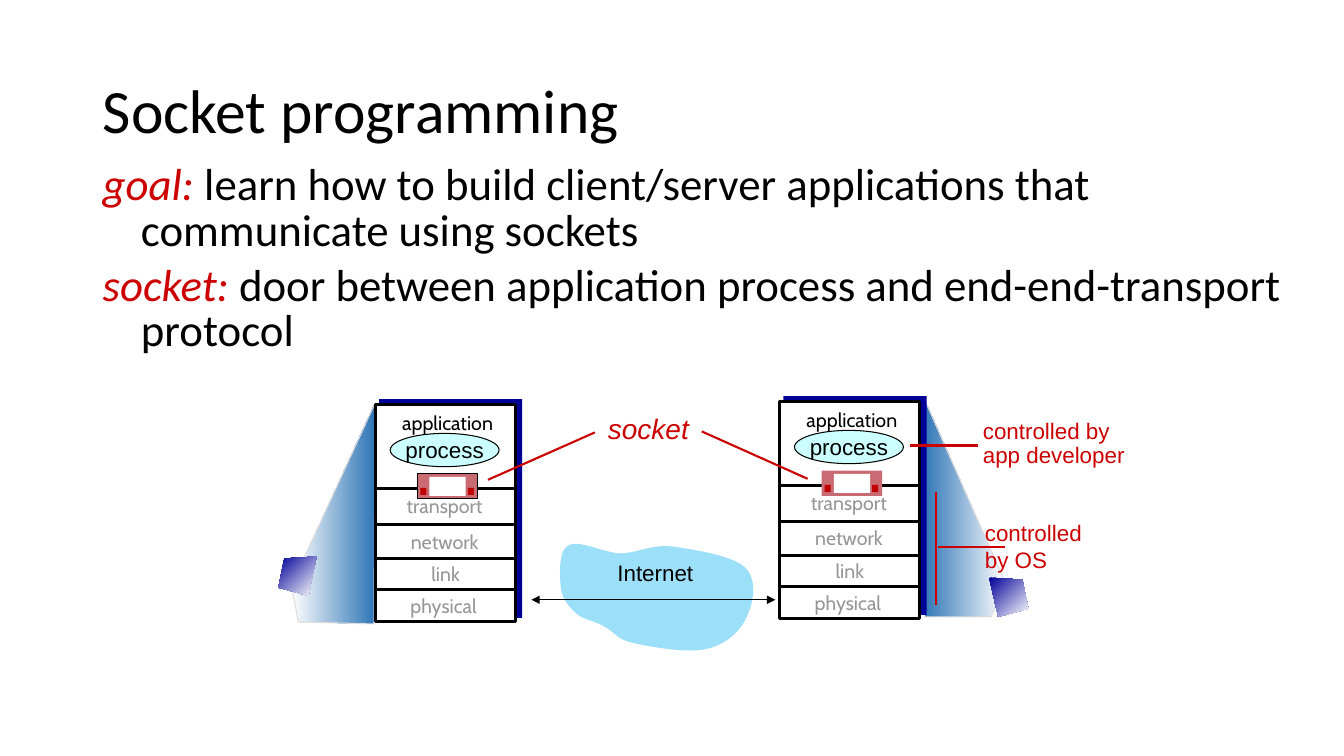
import pptx
import pptx.util
import pptx.dml.color
import pptx.enum.shapes
import pptx.enum.text
import pptx.oxml.xmlchemy

Inches = pptx.util.Inches
Kind = pptx.enum.shapes.MSO_SHAPE
Align = pptx.enum.text.PP_ALIGN
Anchor = pptx.enum.text.MSO_ANCHOR
Fit = pptx.enum.text.MSO_AUTO_SIZE
RED, NAVY, GREY, BLACK, WHITE = "CC0000", "000099", "969696", "000000", "FFFFFF"
BEAM = WHITE, "2E75B6"

CLOUD = [  # start point, then three points for each curve
    (5.56, 5.8), (5.55, 5.68), (5.54, 5.46), (5.64, 5.41),
    (5.73, 5.35), (5.98, 5.48), (6.15, 5.49), (6.32, 5.49), (6.45, 5.4), (6.66, 5.42),
    (6.87, 5.45), (7.27, 5.51), (7.39, 5.63), (7.52, 5.75), (7.47, 6), (7.4, 6.13),
    (7.34, 6.27), (7.19, 6.4), (7, 6.44), (6.82, 6.48), (6.46, 6.42), (6.29, 6.38),
    (6.12, 6.35), (6.1, 6.27), (6, 6.22), (5.91, 6.16), (5.78, 6.15), (5.71, 6.08),
    (5.63, 6.01), (5.56, 5.91), (5.56, 5.8)]


def rgb(code):
    return pptx.dml.color.RGBColor.from_string(code)


def write(frame, paras, size=16, font="Arial", color=BLACK, italic=False,
          align=Align.LEFT, space=1.0, before=0, hang=0):
    """Each paragraph is a string or a list of (text, run format) pairs."""
    for i, para in enumerate(paras):
        p = frame.paragraphs[0] if i == 0 else frame.add_paragraph()
        p.alignment, p.line_spacing = align, space
        p.space_before = pptx.util.Pt(before if i else 0)
        if hang:
            props = p._p.get_or_add_pPr()
            props.set("marL", str(Inches(hang)))
            props.set("indent", str(-Inches(hang)))
        for text, form in [(para, {})] if isinstance(para, str) else para:
            run = p.add_run()
            run.text = text
            run.font.size, run.font.name = pptx.util.Pt(size), font
            run.font.italic = form.get("italic", italic)
            run.font.color.rgb = rgb(form.get("color", color))


def label(slide, box, *paras, wrap=False, **form):
    frame = slide.shapes.add_textbox(*map(Inches, box)).text_frame
    frame.word_wrap = wrap
    frame.auto_size = Fit.SHAPE_TO_FIT_TEXT
    write(frame, paras, **form)


def edge(shape, color, width):
    if color:
        shape.line.color.rgb = rgb(color)
        shape.line.width = pptx.util.Pt(width)
    else:
        shape.line.fill.background()


def block(slide, box, fill, line=None, width=0.75, kind=Kind.RECTANGLE):
    shape = slide.shapes.add_shape(kind, *map(Inches, box))
    shape.shadow.inherit = False
    shape.fill.solid()
    shape.fill.fore_color.rgb = rgb(fill)
    edge(shape, line, width)
    return shape


def outline(slide, points, fill, angle=0, line=None):
    """A fill of two colours is a gradient at a clockwise angle."""
    spots = [(Inches(x), Inches(y)) for x, y in points]
    form = slide.shapes.build_freeform(*spots[0])
    form.add_line_segments(spots[1:], close=True)
    shape = form.convert_to_shape()
    shape.shadow.inherit = False
    if isinstance(fill, str):
        shape.fill.solid()
        shape.fill.fore_color.rgb = rgb(fill)
    else:
        shape.fill.gradient()
        shape.fill.gradient_angle = -angle % 360
        for stop, color, place in zip(shape.fill.gradient_stops, fill, (0, 1)):
            stop.color.rgb, stop.position = rgb(color), place
    edge(shape, line, 0.75)


def curve(points, steps=10):
    trace = [points[0]]
    for i in range(0, len(points) - 1, 3):
        a, b, c, d = points[i:i + 4]
        for n in range(1, steps + 1):
            t = n / steps
            u = 1 - t
            trace.append(tuple(u**3 * a[k] + 3 * u * u * t * b[k] + 3 * u * t * t * c[k]
                               + t**3 * d[k] for k in (0, 1)))
    return trace


def rule(slide, start, end, color=RED, width=1.5, heads=False):
    line = slide.shapes.add_connector(pptx.enum.shapes.MSO_CONNECTOR.STRAIGHT,
                                      *map(Inches, start + end))
    edge(line, color, width)
    for tag in ("a:headEnd", "a:tailEnd") if heads else ():
        tip = pptx.oxml.xmlchemy.OxmlElement(tag)
        tip.set("type", "triangle")
        line.get_or_add_ln().append(tip)
    line._element.spPr.append(pptx.oxml.xmlchemy.OxmlElement("a:effectLst"))


def heading(slide, box):
    title = slide.shapes.title
    title.left, title.top, title.width, title.height = map(Inches, box)
    title.text_frame.vertical_anchor = Anchor.MIDDLE
    write(title.text_frame, ["Socket programming"], size=44, font="Calibri", space=0.9)


def body(slide, box):
    term = {"color": RED, "italic": True}
    label(slide, box,
          [("goal:", term), (" learn how to build client/server applications that "
                             "communicate using sockets", {})],
          [("socket:", term), (" door between application process and "
                               "end-end-transport protocol", {})],
          wrap=True, size=32, font="Calibri", space=0.85, before=6.4, hang=0.38)


def door(slide, x, y, line):
    block(slide, (x, y, 0.6, 0.25), "C96B72", line)
    block(slide, (x + 0.12, y + 0.03, 0.36, 0.19), WHITE)
    for dx in (0.03, 0.5):
        block(slide, (x + dx, y + 0.14, 0.06, 0.07), "C00000")


def host(slide, x, y, frame=None):
    # Stack with its offset backing
    block(slide, (x + 0.04, y - 0.05, 1.42, 2.17), NAVY)
    block(slide, (x, y, 1.39, 2.16), WHITE, BLACK, 2.25)
    for dy in (0.84, 1.19, 1.53, 1.84):
        rule(slide, (x + 0.01, y + dy), (x + 1.39, y + dy), BLACK, 2.25)
    # Layer names
    for name, dx, dy, color in [
            ("application", 0, -0.01, BLACK), ("transport", -0.03, 0.82, GREY),
            ("network", -0.03, 1.17, GREY), ("link", -0.02, 1.49, GREY),
            ("physical", -0.04, 1.81, GREY)]:
        label(slide, (x + dx, y + dy, 1.44, 0.36), name, wrap=True, size=14,
              font="Cabin", color=color, align=Align.CENTER, space=1.1)
    # Process and its socket
    oval = block(slide, (x + 0.15, y + 0.29, 1.08, 0.33), "CCFFFF", BLACK, kind=Kind.OVAL)
    oval.text_frame.word_wrap = False
    oval.text_frame.vertical_anchor = Anchor.MIDDLE
    write(oval.text_frame, ["process"], align=Align.CENTER)
    door(slide, x + 0.42, y + 0.69, frame)


def network(slide):
    outline(slide, curve(CLOUD), "9CDFF9")
    label(slide, (6.02, 5.5, 0.96, 0.37), "Internet", align=Align.CENTER)
    rule(slide, (5.27, 5.95), (7.69, 5.95), BLACK, 0.75, heads=True)


def notes(slide):
    rule(slide, (9.7, 4.42), (9.03, 4.42))
    rule(slide, (9.28, 4.88), (9.28, 6))
    rule(slide, (9.97, 5.43), (9.3, 5.43))
    label(slide, (9.67, 5.1, 1.16, 0.9), "controlled", "by OS", color=RED)
    label(slide, (9.65, 4.12, 1.61, 0.58), "controlled by", "app developer",
          color=RED, space=0.9)
    label(slide, (5.93, 4.07, 1.1, 0.4), "socket", wrap=True, size=20, color=RED,
          italic=True, space=0.9)
    rule(slide, (4.84, 4.76), (5.9, 4.29))
    rule(slide, (8.01, 4.75), (6.96, 4.28))


def main():
    deck = pptx.Presentation()
    deck.slide_width, deck.slide_height = Inches(13.33), Inches(7.5)
    slide = deck.slides.add_slide(deck.slide_layouts[5])
    heading(slide, (0.92, 0.4, 11.5, 1.45))
    body(slide, (0.92, 1.58, 12.17, 1.68))
    # Beams from the computers to their stacks
    outline(slide, [(9.97, 5.78), (9.16, 3.94), (9.17, 6.12), (9.83, 6.12)],
            BEAM, 180, "DDDDDD")
    outline(slide, [(2.89, 5.81), (3.72, 4), (3.71, 6.19), (2.96, 6.17)],
            BEAM, 0, "DDDDDD")
    network(slide)
    host(slide, 3.72, 4.01, BLACK)
    host(slide, 7.73, 3.98)
    notes(slide)
    # Computers
    for points in ([(3.14, 5.52), (2.82, 5.54), (2.76, 5.83), (3.06, 5.91)],
                   [(9.81, 5.73), (10.14, 5.75), (10.2, 6.04), (9.9, 6.12)]):
        outline(slide, points, (NAVY, WHITE), 45)
    deck.save("out.pptx")


if __name__ == "__main__":
    main()
